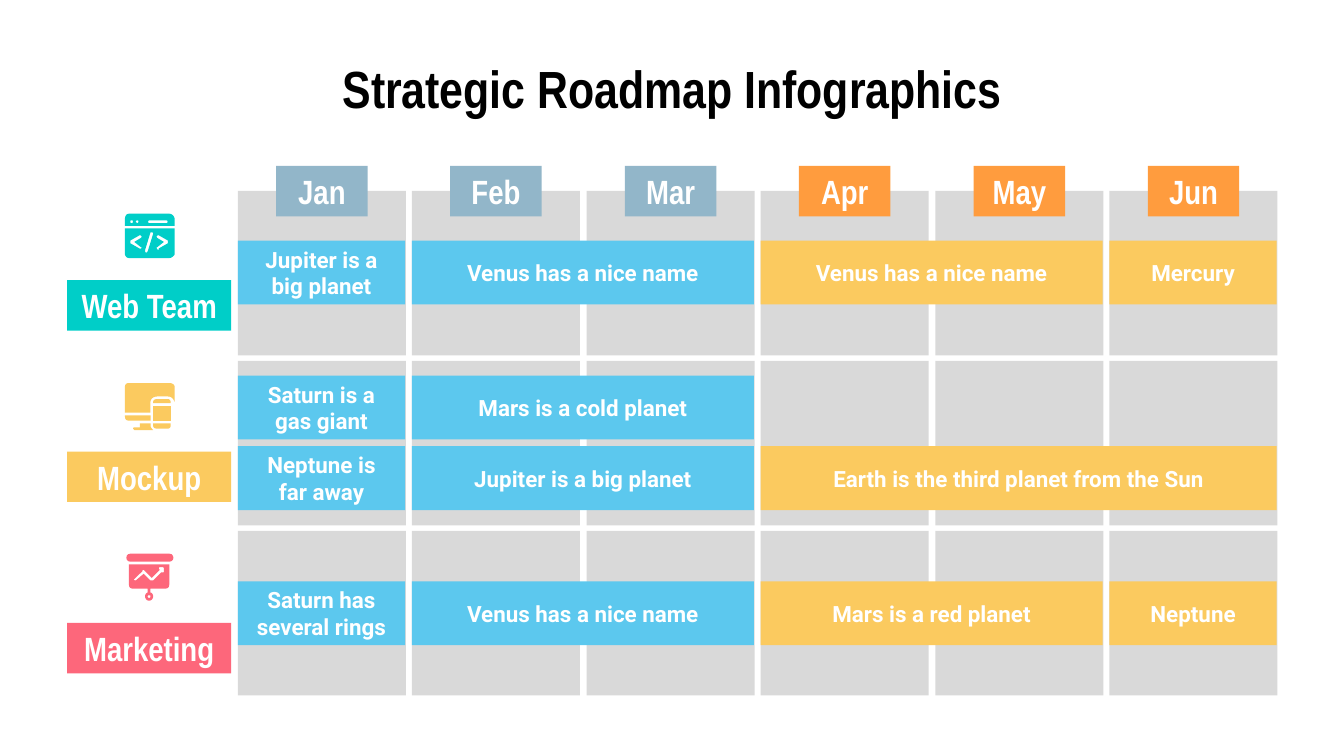
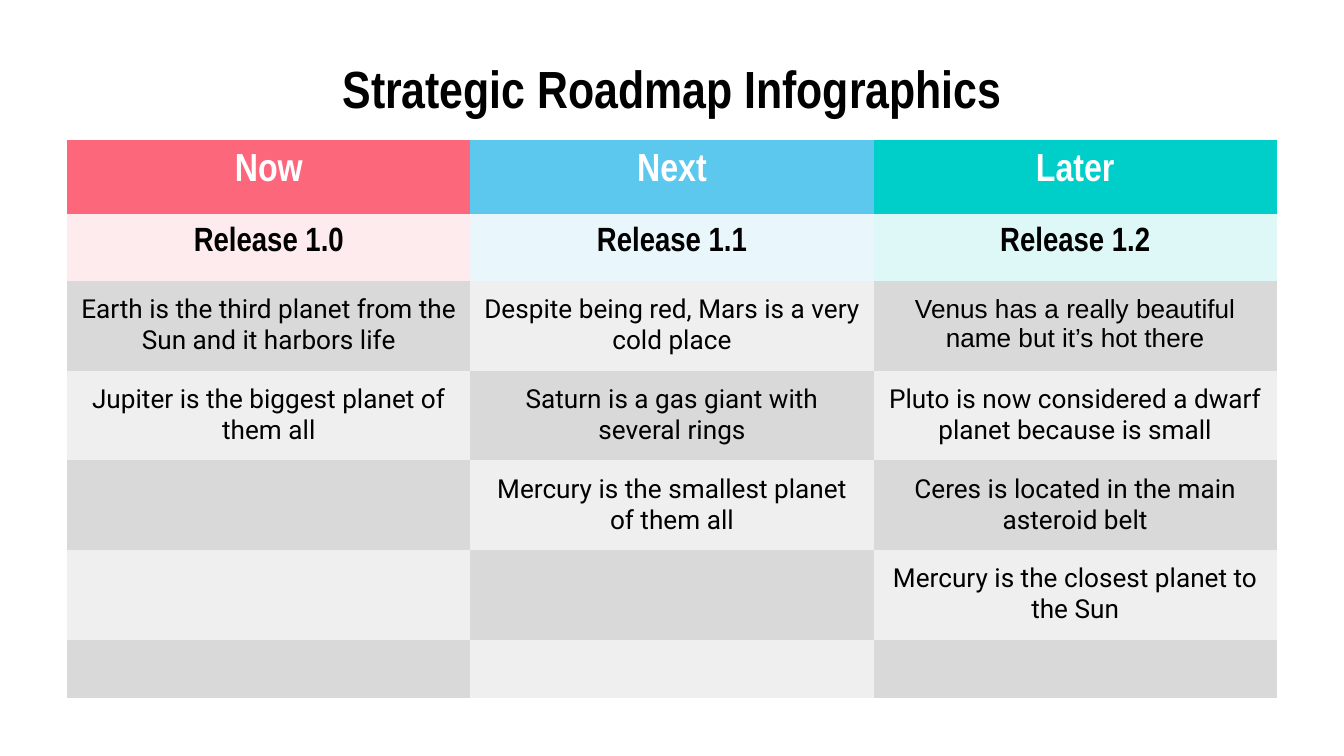
"""Build two roadmap slides: a six-month team plan and a release table."""
from dataclasses import dataclass

from lxml.etree import SubElement
from pptx import Presentation
from pptx.dml.color import RGBColor as Color
from pptx.enum.shapes import MSO_SHAPE as Kind
from pptx.enum.text import MSO_ANCHOR as Anchor, PP_ALIGN as Align
from pptx.oxml.ns import qn
from pptx.text.text import Font
from pptx.util import Pt

PX = 4572
GRAIN = 2 * PX
PITCH = 259.4


@dataclass(frozen=True)
class Theme:
    black: str = "000000"
    white: str = "FFFFFF"
    gray: str = "D9D9D9"
    pale: str = "EFEFEF"
    steel: str = "92B6C9"
    orange: str = "FF9C3E"
    blue: str = "5CC8EE"
    gold: str = "FBCA5F"
    teal: str = "00CEC8"
    pink: str = "FD677B"
    head: str = "Arial Narrow"
    body: str = "Roboto"
    plain: str = "Arial"
    title: int = 28
    phase: int = 21
    label: int = 18
    entry: int = 14
    task: int = 12


LOOK = Theme()

MONTHS = ["Jan", "Feb", "Mar", "Apr", "May", "Jun"]

TASKS = {
    358: [(0, 1, "Jupiter is a big planet"), (1, 2, "Venus has a nice name"),
          (5, 1, "Mercury"), (3, 2, "Venus has a nice name")],
    559: [(0, 1, "Saturn is a gas giant"), (1, 2, "Mars is a cold planet")],
    664: [(0, 1, "Neptune is far away"), (1, 2, "Jupiter is a big planet"),
          (3, 3, "Earth is the third planet from the Sun")],
    865: [(0, 1, "Saturn has several rings"), (1, 2, "Venus has a nice name"),
          (5, 1, "Neptune"), (3, 2, "Mars is a red planet")],
}

BROWSER = [
    "98,164 C 99,164 99,164 99,165 C 99,165 99,166 98,166 C 97,166 97,165 97,165 "
    "C 97,164 97,164 98,164 Z "
    "102,164 C 103,164 103,164 103,165 C 103,165 103,166 102,166 "
    "C 102,166 101,165 101,165 C 101,164 102,164 102,164 Z "
    "124,164 C 125,164 125,166 124,166 111,166 C 110,166 110,164 111,164 Z "
    "96,159 C 94,159 93,161 93,163 93,168 130,168 130,163 "
    "C 130,161 128,159 126,159",
    "104,175 C 105,175 106,176 105,177 100,180 105,184 C 106,184 105,185 105,185 "
    "C 104,185 104,185 104,185 97,181 C 97,181 97,180 97,179 Z "
    "118,175 125,179 C 125,180 125,181 125,181 118,185 C 118,186 118,186 118,186 "
    "C 117,186 116,184 117,184 122,180 117,177 C 116,176 117,175 118,175 Z "
    "113,173 C 114,173 114,173 114,174 110,187 C 110,187 109,188 109,188 "
    "C 108,188 108,187 108,186 112,173 C 112,173 113,173 113,173 Z "
    "93,170 93,189 C 93,190 94,192 96,192 126,192 C 128,192 130,190 130,189 130,170",
]

SCREENS = [
    "104,315 104,318 100,318 C 100,318 99,318 99,319 C 99,319 100,320 100,320 "
    "114,320 C 113,319 112,318 112,317 112,315",
    "93,309 93,310 C 93,312 94,313 96,313 112,313 112,309",
    "114,302 114,313 127,313 127,302",
    "114,315 114,317 C 114,318 115,319 117,319 125,319 C 126,319 127,318 127,317 "
    "127,315",
    "96,285 C 94,285 93,286 93,288 93,307 112,307 112,299 C 112,297 114,295 117,295 "
    "125,295 C 128,295 129,297 130,299 130,288 C 130,286 128,285 126,285",
    "117,297 C 115,297 114,298 114,299 114,300 127,300 127,299 "
    "C 127,298 126,297 125,297",
]

BOARD = [
    "97,412 C 93,412 93,418 97,418 126,418 C 130,418 130,412 126,412",
    "121,422 C 122,422 122,423 122,423 122,425 C 122,426 122,426 121,426 "
    "C 121,426 120,426 120,426 114,432 C 114,432 113,432 113,432 "
    "C 113,432 113,432 112,432 107,427 101,432 C 101,432 101,432 101,432 "
    "C 100,432 99,431 100,431 106,425 C 106,424 107,424 107,424 "
    "C 107,424 107,424 108,425 113,430 119,424 C 118,424 118,422 119,422 Z "
    "111,443 C 112,443 112,443 112,444 C 112,444 112,445 111,445 "
    "C 110,445 110,444 110,444 C 110,443 110,443 111,443 Z "
    "96,420 96,435 C 96,437 97,438 99,438 110,438 110,441 C 109,441 108,442 108,444 "
    "C 108,445 109,447 111,447 C 113,447 114,445 114,444 C 114,442 113,441 112,441 "
    "112,438 123,438 C 125,438 126,437 126,435 126,420",
]

TEAMS = [("Web Team", LOOK.teal, BROWSER), ("Mockup", LOOK.gold, SCREENS),
         ("Marketing", LOOK.pink, BOARD)]

PHASES = [LOOK.pink, LOOK.blue, LOOK.teal]

CELLS = [
    ["Now", "Next", "Later"],
    ["Release 1.0", "Release 1.1", "Release 1.2"],
    ["Earth is the third planet from the Sun and it harbors life",
     "Despite being red, Mars is a very cold place",
     "Venus has a really beautiful name but it’s hot there"],
    ["Jupiter is the biggest planet of them all",
     "Saturn is a gas giant with several rings",
     "Pluto is now considered a dwarf planet because is small"],
    ["", "Mercury is the smallest planet of them all",
     "Ceres is located in the main asteroid belt"],
    ["", "", "Mercury is the closest planet to the Sun"],
    ["", "", ""],
]


def write(frame, text, size, face=LOOK.head, hue=LOOK.white, bold=True):
    """Put one centred, formatted line of text in a frame."""
    para = frame.paragraphs[0]
    para.alignment = Align.CENTER
    if text:
        run = para.add_run()
        run.text = text
        font = run.font
    else:
        font = Font(para._p.get_or_add_endParaRPr())
    font.size, font.name, font.bold = Pt(size), face, bold
    font.color.rgb = Color.from_string(hue)


def pad(item):
    """Give a frame or cell equal insets on all sides."""
    item.margin_left = item.margin_right = 20 * PX
    item.margin_top = item.margin_bottom = 20 * PX


def fit(frame):
    """Wrap, pad and centre a text frame."""
    frame.word_wrap = True
    frame.vertical_anchor = Anchor.MIDDLE
    pad(frame)


def paint(shape, hue):
    """Fill a shape flat, with no line or shadow."""
    shape.shadow.inherit = False
    shape.fill.solid()
    shape.fill.fore_color.rgb = Color.from_string(hue)
    shape.line.fill.background()


def block(shapes, area, hue, text="", kind=Kind.RECTANGLE, **style):
    """Add a flat box, with a label if there is one."""
    shape = shapes.add_shape(kind, *(n * PX for n in area))
    paint(shape, hue)
    if kind == Kind.ROUNDED_RECTANGLE:
        shape.adjustments[0] = 0
    if text:
        fit(shape.text_frame)
        write(shape.text_frame, text, **style)


def points(part):
    """Turn a run of points and C curves into a list of EMU points."""
    marks = iter(part.split())
    dots = []
    for mark in marks:
        ends = [next(marks) for _ in range(3)] if mark == "C" else [mark]
        ends = [tuple(int(n) * GRAIN for n in end.split(",")) for end in ends]
        if mark != "C":
            dots += ends
            continue
        curve = [dots[-1], *ends]
        for step in range(1, 7):
            t = step / 6
            mix = ((1 - t) ** 3, 3 * t * (1 - t) ** 2, 3 * t * t * (1 - t), t ** 3)
            dots.append(tuple(round(sum(m * dot[axis] for m, dot in zip(mix, curve)))
                              for axis in (0, 1)))
    return dots


def icon(slide, outlines, hue):
    """Draw a group of freeforms, Z parting the contours of each."""
    shapes = slide.shapes.add_group_shape().shapes
    for outline in outlines:
        first, *rest = [points(part) for part in outline.split("Z")]
        pen = shapes.build_freeform(*first[0])
        pen.add_line_segments(first[1:], close=True)
        for dots in rest:
            pen.move_to(*dots[0])
            pen.add_line_segments(dots[1:], close=True)
        paint(pen.convert_to_shape(), hue)


def start(deck):
    """Add a blank slide."""
    return deck.slides.add_slide(deck.slide_layouts[6])


def title(slide):
    """Add the shared title."""
    box = slide.shapes.add_textbox(100 * PX, 90 * PX, 1800 * PX, 82 * PX)
    fit(box.text_frame)
    write(box.text_frame, "Strategic Roadmap Infographics", LOOK.title, hue=LOOK.black)


def left(col):
    """Return the left edge of a month column."""
    return 354 + round(PITCH * col)


def plan(deck):
    """Build the month grid with its tasks and teams."""
    slide = start(deck)
    grid = slide.shapes.add_group_shape().shapes
    for row in range(3):
        for col in range(6):
            block(grid, (left(col), 284 + 253 * row, 250, 245), LOOK.gray)
    title(slide)
    for col, month in enumerate(MONTHS):
        hue = LOOK.steel if col < 3 else LOOK.orange
        block(slide.shapes, (left(col) + 57, 247, 136, 75), hue, month, size=LOOK.label)
    for top, tasks in TASKS.items():
        for col, span, text in tasks:
            area = (left(col), top, round(PITCH * span) - 10, 95)
            block(slide.shapes, area, LOOK.blue if col < 3 else LOOK.gold, text,
                  Kind.ROUNDED_RECTANGLE, size=LOOK.task, face=LOOK.body)
    for row, (name, hue, outlines) in enumerate(TEAMS):
        block(slide.shapes, (100, 417 + 255 * row, 244, 75), hue, name, size=LOOK.label)
        icon(slide, outlines, hue)


def tint(cell, hue, alpha=100):
    """Fill a cell, with an opacity in percent."""
    cell.fill.solid()
    cell.fill.fore_color.rgb = Color.from_string(hue)
    if alpha < 100:
        tone = cell._tc.tcPr.find(".//" + qn("a:srgbClr"))
        SubElement(tone, qn("a:alpha")).set("val", str(alpha * 1000))


def phases(deck):
    """Build the table of releases."""
    slide = start(deck)
    title(slide)
    tall = [104, 94, 126, 126, 126, 126, 82]
    frame = slide.shapes.add_table(len(tall), 3, 100 * PX, 208 * PX, 1800 * PX,
                                   sum(tall) * PX)
    table = frame.table
    table.first_row = table.horz_banding = False
    style = table._tbl.tblPr.find(qn("a:tableStyleId"))
    style.text = "{2D5ABB26-0587-4C30-8999-92F81FD0307C}"
    for row, texts in enumerate(CELLS):
        table.rows[row].height = tall[row] * PX
        for col, text in enumerate(texts):
            cell = table.cell(row, col)
            pad(cell)
            if row == 0:
                tint(cell, PHASES[col])
                write(cell.text_frame, text, LOOK.phase)
            elif row == 1:
                tint(cell, PHASES[col], 13)
                write(cell.text_frame, text, LOOK.label, hue=LOOK.black)
            else:
                tint(cell, LOOK.pale if (row + col) % 2 else LOOK.gray)
                face = LOOK.plain if (row, col) == (2, 2) else LOOK.body
                write(cell.text_frame, text, LOOK.entry, face, LOOK.black, False)
    frame.width = frame.height = 656 * PX


def main():
    """Make the deck and save it."""
    deck = Presentation()
    deck.slide_width, deck.slide_height = 2000 * PX, 1125 * PX
    plan(deck)
    phases(deck)
    deck.save("out.pptx")


if __name__ == "__main__":
    main()
